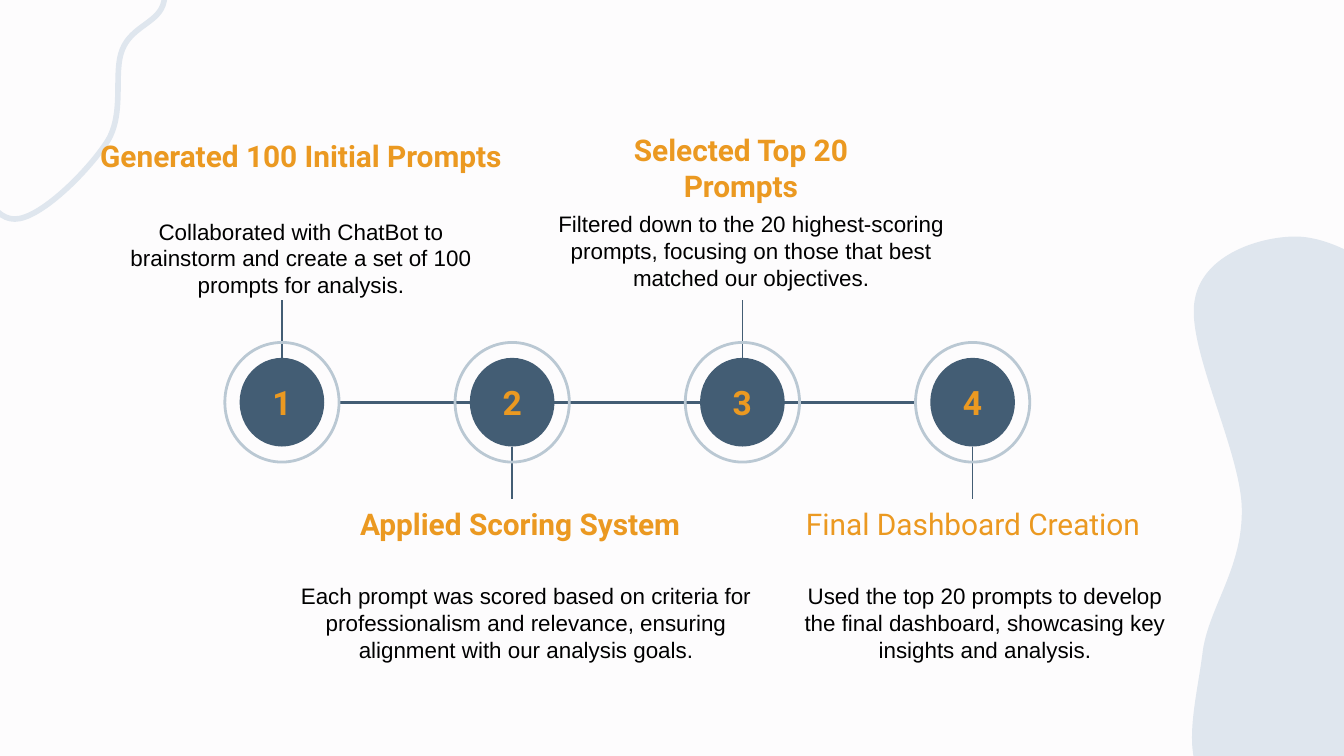
from dataclasses import dataclass

from lxml import etree
from pptx import Presentation, util as u
from pptx.dml.color import RGBColor
from pptx.enum import shapes as kinds, text as t
from pptx.oxml.ns import qn

# All lengths are cells of a square grid, 100 columns by 56.25 rows.
CELL = 91440
COLUMNS, ROWS = 100, 56.25

COLOURS = {
    "page": "FDFCFD", "blob": "DFE6EE", "navy": "435D74",
    "ring": "BAC8D3", "accent": "EB9921", "body": "000000",
}

FIRST_COLUMN, PITCH, AXIS_ROW = 20.98, 17.13, 29.93
RING, DOT = (8.5, 8.9), (6.3, 6.6)
STEM_TOP, STEM_BOTTOM = 22.3, 37.1
HEADING_ROWS, BODY_ROWS = 6.4, 7.1


@dataclass
class Area:
    left: float
    top: float
    width: float
    height: float


@dataclass
class Step:
    heading: str
    heading_area: Area
    body: str
    body_area: Area
    above: bool
    bold: bool = True


STEPS = [
    Step("Generated 100 Initial Prompts", Area(6.05, 9.75, 32.7, HEADING_ROWS),
         "Collaborated with ChatBot to brainstorm and create a set of 100 prompts for analysis.",
         Area(8.3, 15.7, 28.2, BODY_ROWS), above=True),
    Step("Applied Scoring System", Area(23.25, 37.15, 30.9, HEADING_ROWS),
         "Each prompt was scored based on criteria for professionalism and relevance, "
         "ensuring alignment with our analysis goals.",
         Area(19.9, 42.83, 38.5, BODY_ROWS), above=False),
    Step("Selected Top 20 Prompts", Area(42.38, 9.3, 25.5, HEADING_ROWS),
         "Filtered down to the 20 highest-scoring prompts, focusing on those that best "
         "matched our objectives.",
         Area(40.2, 15.15, 31.4, BODY_ROWS), above=True),
    Step("Final Dashboard Creation", Area(56.35, 37.15, 32.1, HEADING_ROWS),
         "Used the top 20 prompts to develop the final dashboard, showcasing key "
         "insights and analysis.",
         Area(58.15, 42.83, 30.3, BODY_ROWS), above=False, bold=False),
]

# Each outline is a start point, then two handles and an end point per curve.
RIGHT_BLOB = [
    (104.6, 22.3), (102.7, 19.6), (99, 17.6), (96.4, 17.6),
    (93.8, 17.6), (89.5, 18.9), (88.9, 22.3), (88.2, 25.7), (92.3, 33.5), (92.4, 37.8),
    (92.5, 42.2), (90, 45.1), (89.5, 48.4), (89.1, 51.8), (87.9, 55.8), (89.5, 58),
    (91.2, 60.2), (96.7, 62.3), (99.5, 61.7), (102.4, 61.2), (105.2, 59.3), (106.6, 54.7),
    (108, 50), (108.5, 39.4), (108.2, 34), (107.8, 28.6), (106.6, 25), (104.6, 22.3),
]
CORNER_BLOB = [
    (-3.3, 10.3), (-1.7, 13.2), (-0.8, 16.3), (1.1, 16.3),
    (3, 16.3), (6.6, 12.7), (8, 10.5), (9.3, 8.4), (8.4, 5.4), (9.1, 3.7),
    (9.8, 1.9), (11.9, 1.7), (12.2, 0.1), (12.5, -1.4), (12.5, -4.6), (11.1, -5.6),
    (9.6, -6.7), (6.8, -6.8), (3.5, -6.1), (0.3, -5.3), (-7.5, -3.7), (-8.6, -1),
    (-9.8, 1.8), (-4.9, 7.4), (-3.3, 10.3),
]


def cells(count: float) -> int:
    return round(count * CELL)


def colour(name: str) -> RGBColor:
    return RGBColor.from_string(COLOURS[name])


def paint(shape, fill: str = "", line: str = "", weight: float = 1.5) -> None:
    """Set fill and line; an empty colour name means none."""
    shape.shadow.inherit = False
    for part, name in ((shape.fill, fill), (shape.line.fill, line)):
        if name:
            part.solid()
            part.fore_color.rgb = colour(name)
        else:
            part.background()
    if line:
        shape.line.width = u.Pt(weight)


def write(shape, words: str, *, size: float, font: str, ink: str,
          bold: bool = False, anchor=t.MSO_ANCHOR.TOP) -> None:
    frame = shape.text_frame
    frame.word_wrap = True
    frame.vertical_anchor = anchor
    para = frame.paragraphs[0]
    para.alignment = t.PP_ALIGN.CENTER
    span = para.add_run()
    span.text = words
    span.font.size, span.font.name, span.font.bold = u.Pt(size), font, bold
    span.font.color.rgb = colour(ink)


def add_text(page, area: Area, words: str, **style) -> None:
    box = page.shapes.add_textbox(cells(area.left), cells(area.top),
                                  cells(area.width), cells(area.height))
    write(box, words, **style)


def add_line(page, start: tuple, end: tuple, weight: float) -> None:
    line = page.shapes.add_connector(kinds.MSO_CONNECTOR.STRAIGHT,
                                     *map(cells, start + end))
    line.line.color.rgb = colour("navy")
    line.line.width = u.Pt(weight)
    etree.SubElement(line._element.spPr, qn("a:effectLst"))


def add_ellipse(page, column: float, size: tuple):
    """Add an ellipse centred on the timeline axis."""
    width, height = size
    return page.shapes.add_shape(
        kinds.MSO_SHAPE.OVAL, cells(column - width / 2), cells(AXIS_ROW - height / 2),
        cells(width), cells(height))


def add_blob(page, points: list, **look) -> None:
    """Outline the end points, then bend each side into a cubic curve."""
    corners = [tuple(map(cells, point)) for point in points[::3]]
    builder = page.shapes.build_freeform(*corners[0])
    builder.add_line_segments(corners[1:], close=True)
    blob = builder.convert_to_shape()
    for index, side in enumerate(list(blob._element.iter(qn("a:lnTo")))):
        side.tag = qn("a:cubicBezTo")
        handles = points[3 * index + 1:3 * index + 3]
        for place, (column, row) in enumerate(handles):
            handle = etree.Element(qn("a:pt"), x=str(cells(column) - blob.left),
                                   y=str(cells(row) - blob.top))
            side.insert(place, handle)
    paint(blob, **look)


def add_marker(page, number: int, step: Step) -> None:
    column = FIRST_COLUMN + (number - 1) * PITCH
    side, tip = (-1, STEM_TOP) if step.above else (1, STEM_BOTTOM)
    add_line(page, (column, AXIS_ROW + side * DOT[1] / 2), (column, tip), 0.75)
    paint(add_ellipse(page, column, RING), line="ring")
    dot = add_ellipse(page, column, DOT)
    paint(dot, fill="navy")
    frame = dot.text_frame
    frame.margin_left = frame.margin_right = cells(1)
    frame.margin_top = frame.margin_bottom = cells(1)
    write(dot, str(number), size=18, font="Roboto", ink="accent", bold=True,
          anchor=t.MSO_ANCHOR.MIDDLE)


def main() -> None:
    deck = Presentation()
    deck.slide_width, deck.slide_height = cells(COLUMNS), cells(ROWS)
    page = deck.slides.add_slide(deck.slide_layouts[6])
    page.background.fill.solid()
    page.background.fill.fore_color.rgb = colour("page")

    add_blob(page, RIGHT_BLOB, fill="blob")
    add_blob(page, CORNER_BLOB, line="blob", weight=3)

    last_column = FIRST_COLUMN + (len(STEPS) - 1) * PITCH
    add_line(page, (FIRST_COLUMN + RING[0] / 2, AXIS_ROW),
             (last_column - RING[0] / 2, AXIS_ROW), 1.5)
    for number, step in enumerate(STEPS, start=1):
        add_marker(page, number, step)
    for step in STEPS:
        add_text(page, step.heading_area, step.heading, size=16, font="Roboto",
                 ink="accent", bold=step.bold)
        add_text(page, step.body_area, step.body, size=12, font="Arial", ink="body")
    deck.save("out.pptx")


if __name__ == "__main__":
    main()
